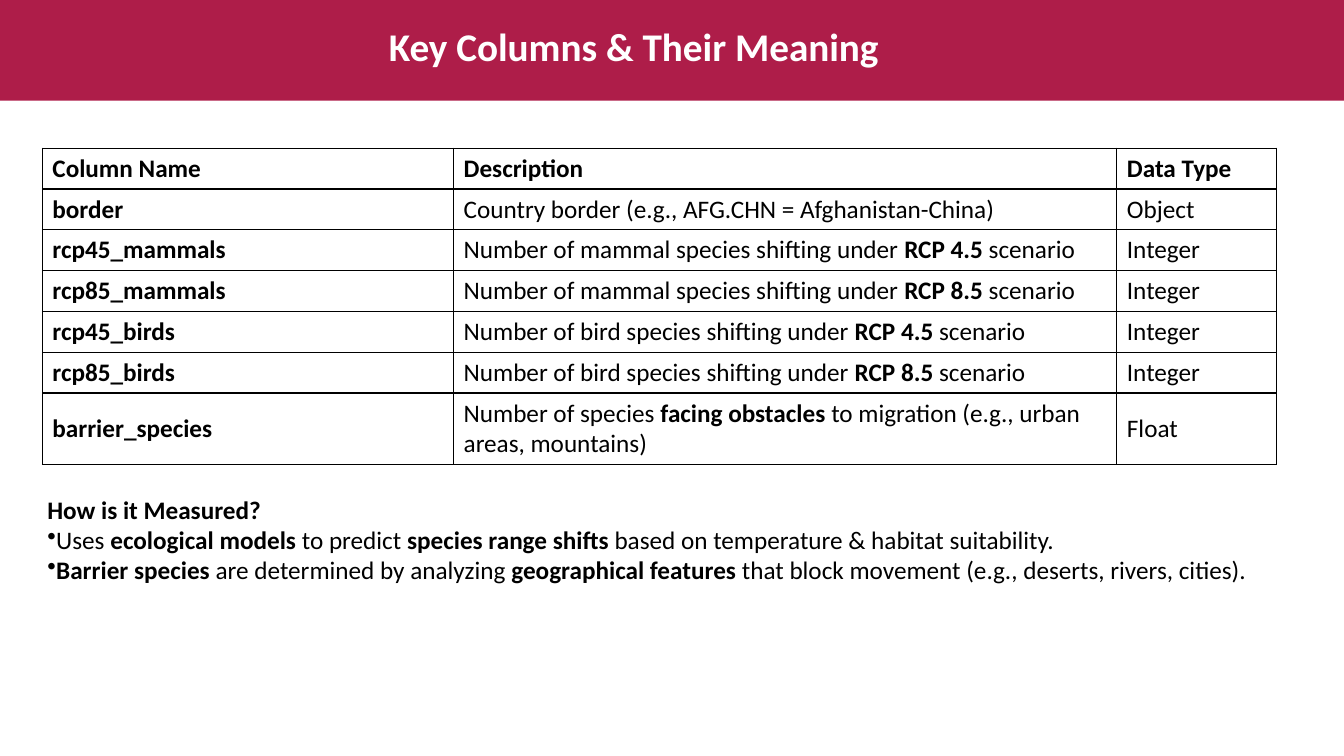
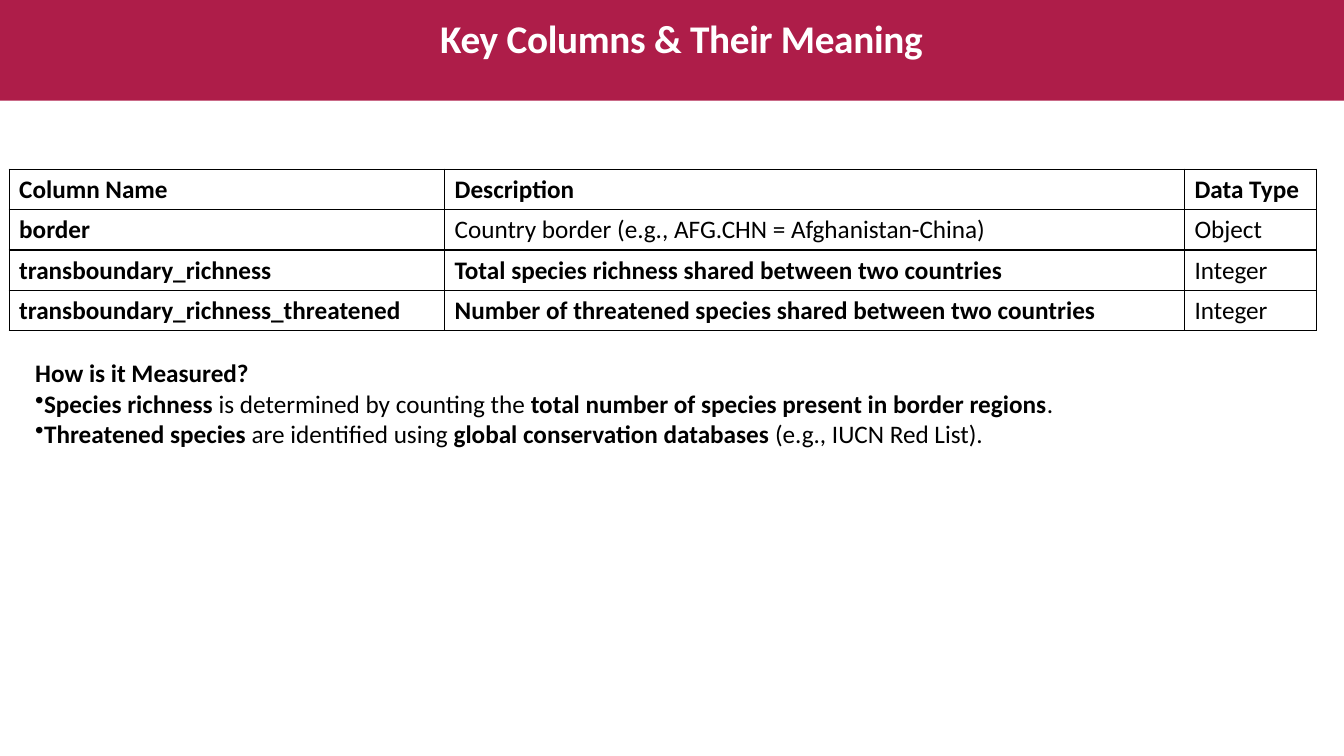
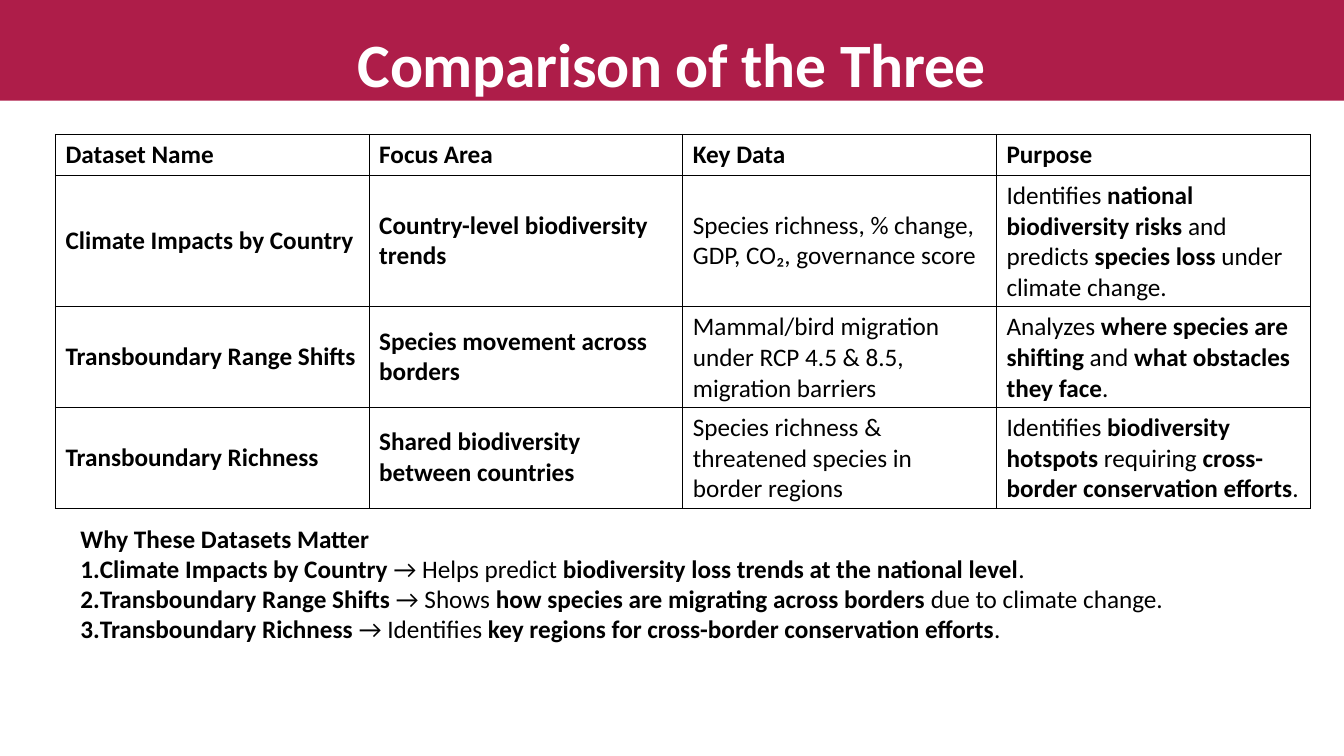
"""Three slides that describe dataset columns and compare the datasets."""
from lxml import etree
from pptx import Presentation
from pptx.dml.color import RGBColor
from pptx.enum.shapes import MSO_SHAPE
from pptx.enum.text import MSO_ANCHOR, PP_ALIGN
from pptx.oxml.ns import qn
from pptx.util import Inches, Pt

RECTANGLE = MSO_SHAPE.RECTANGLE
MIDDLE = MSO_ANCHOR.MIDDLE
LEFT, CENTER = PP_ALIGN.LEFT, PP_ALIGN.CENTER
COLORS = {"band": "AE1D49", "title": "FFFFFF", "text": "000000", "line": "000000"}
FONT = "Calibri"
BODY_SIZE = 18
BAND_HEIGHT = 13.33
BULLET = ("a:buChar", {"char": "•"})
NUMBER = ("a:buAutoNum", {"type": "arabicPeriod"})

presentation = Presentation()
presentation.slide_width = Inches(13.33)
presentation.slide_height = Inches(7.5)
COLUMN = presentation.slide_width / 100
ROW = presentation.slide_height / 100


def place(left, top, width, height):
    """Turn percentages of the slide into lengths."""
    return int(left * COLUMN), int(top * ROW), int(width * COLUMN), int(height * ROW)


def write(paragraph, text, size=BODY_SIZE, color="text"):
    """Write text in which double asterisks switch bold on and off."""
    paragraph.font.name = FONT
    paragraph.font.size = Pt(size)
    paragraph.font.color.rgb = RGBColor.from_string(COLORS[color])
    for index, part in enumerate(text.split("**")):
        if part:
            run = paragraph.add_run()
            run.text = part
            run.font.bold = index % 2 == 1


COLUMN_HEADER = ["**Column Name**", "**Description**", "**Data Type**"]
BORDER_ROW = ["**border**", "Country border (e.g., AFG.CHN = Afghanistan-China)", "Object"]
SHIFT_ROWS = [
    [f"**rcp{code}_{group}s**",
     f"Number of {group} species shifting under **RCP {scenario}** scenario", "Integer"]
    for group in ("mammal", "bird")
    for code, scenario in (("45", "4.5"), ("85", "8.5"))
]

SLIDES = [
    {
        "title": "Key Columns & Their Meaning",
        "title_box": (28.2, 2.27, 47.55, 7.6),
        "title_size": 28,
        "centered": False,
        "table_at": (3.15, 19.6),
        "columns": [30.6, 49.35, 11.85],
        "rows": [5.4] * 6 + [9.45],
        "cells": [
            COLUMN_HEADER,
            BORDER_ROW,
            *SHIFT_ROWS,
            ["**barrier_species**",
             "Number of species **facing obstacles** to migration (e.g., urban areas, mountains)",
             "Float"],
        ],
        "notes_box": (2.78, 64.67, 92.7, 13.47),
        "heading": "How is it Measured?",
        "marker": BULLET,
        "points": [
            "Uses **ecological models** to predict **species range shifts** "
            "based on temperature & habitat suitability.",
            "**Barrier species** are determined by analyzing **geographical features** "
            "that block movement (e.g., deserts, rivers, cities).",
        ],
    },
    {
        "title": "Key Columns & Their Meaning",
        "title_box": (30.15, 2.53, 41.1, 5.87),
        "title_size": 28,
        "centered": True,
        "table_at": (0.68, 22.4),
        "columns": [32.4, 55.05, 9.83],
        "rows": [5.33] * 4,
        "cells": [
            COLUMN_HEADER,
            BORDER_ROW,
            ["**transboundary_richness**",
             "**Total species richness shared between two countries**", "Integer"],
            ["**transboundary_richness_threatened**",
             "**Number of threatened species shared between two countries**", "Integer"],
        ],
        "notes_box": (1.88, 46.67, 84.08, 13.47),
        "heading": "How is it Measured?",
        "marker": BULLET,
        "points": [
            "**Species richness** is determined by counting the "
            "**total number of species present in border regions**.",
            "**Threatened species** are identified using "
            "**global conservation databases** (e.g., IUCN Red List).",
        ],
    },
    {
        "title": "Comparison of the Three",
        "title_box": (19.05, 4.4, 61.88, 9.07),
        "title_size": 44,
        "centered": True,
        "table_at": (4.13, 17.8),
        "columns": [23.34] * 4,
        "rows": [5.4, 17.3, 13.3, 13.3],
        "cells": [
            ["**Dataset Name**", "**Focus Area**", "**Key Data**", "**Purpose**"],
            ["**Climate Impacts by Country**", "**Country-level biodiversity trends**",
             "Species richness, % change, GDP, CO₂, governance score",
             "Identifies **national biodiversity risks** and predicts "
             "**species loss** under climate change."],
            ["**Transboundary Range Shifts**", "**Species movement across borders**",
             "Mammal/bird migration under RCP 4.5 & 8.5, migration barriers",
             "Analyzes **where species are shifting** and **what obstacles they face**."],
            ["**Transboundary Richness**", "**Shared biodiversity between countries**",
             "Species richness & threatened species in border regions",
             "Identifies **biodiversity hotspots** requiring "
             "**cross-border conservation efforts**."],
        ],
        "notes_box": (5.25, 68.53, 86.78, 17.47),
        "heading": "Why These Datasets Matter",
        "marker": NUMBER,
        "points": [
            "**Climate Impacts by Country** → Helps predict "
            "**biodiversity loss trends at the national level**.",
            "**Transboundary Range Shifts** → Shows "
            "**how species are migrating across borders** due to climate change.",
            "**Transboundary Richness** → Identifies "
            "**key regions for cross-border conservation efforts**.",
        ],
    },
]

for content in SLIDES:
    slide = presentation.slides.add_slide(presentation.slide_layouts[6])

    band = slide.shapes.add_shape(RECTANGLE, *place(0, 0, 100, BAND_HEIGHT))
    band.shadow.inherit = False
    band.fill.solid()
    band.fill.fore_color.rgb = RGBColor.from_string(COLORS["band"])
    band.line.fill.background()

    title_frame = slide.shapes.add_textbox(*place(*content["title_box"])).text_frame
    title_frame.word_wrap = True
    title = title_frame.paragraphs[0]
    title.alignment = CENTER if content["centered"] else LEFT
    write(title, f"**{content['title']}**", content["title_size"], "title")
    if content["centered"]:
        title_frame.margin_left = title_frame.margin_right = title_frame.margin_bottom = 0
        title_frame.margin_top = Inches(0.01)
        title.line_spacing = 0.9
        title.runs[0].font._element.set("spc", "-20")

    widths, heights = content["columns"], content["rows"]
    table = slide.shapes.add_table(
        len(heights), len(widths),
        *place(*content["table_at"], sum(widths), sum(heights))).table
    table.first_row = table.horz_banding = False
    for column, width in zip(table.columns, widths):
        column.width = int(width * COLUMN)
    for row, height, texts in zip(table.rows, heights, content["cells"]):
        row.height = int(height * ROW)
        for cell, text in zip(row.cells, texts):
            cell.vertical_anchor = MIDDLE
            write(cell.text_frame.paragraphs[0], text)
            properties = cell._tc.get_or_add_tcPr()
            for side in ("L", "R", "T", "B"):
                border = etree.SubElement(properties, qn(f"a:ln{side}"), w=str(Pt(1)))
                fill = etree.SubElement(border, qn("a:solidFill"))
                etree.SubElement(fill, qn("a:srgbClr"), val=COLORS["line"])
            cell.fill.background()

    notes_frame = slide.shapes.add_textbox(*place(*content["notes_box"])).text_frame
    notes_frame.word_wrap = True
    write(notes_frame.paragraphs[0], f"**{content['heading']}**")
    marker_tag, marker_attributes = content["marker"]
    for point in content["points"]:
        paragraph = notes_frame.add_paragraph()
        marker = etree.Element(qn(marker_tag), marker_attributes)
        paragraph._p.get_or_add_pPr().insert(0, marker)
        write(paragraph, point)

presentation.save("out.pptx")
